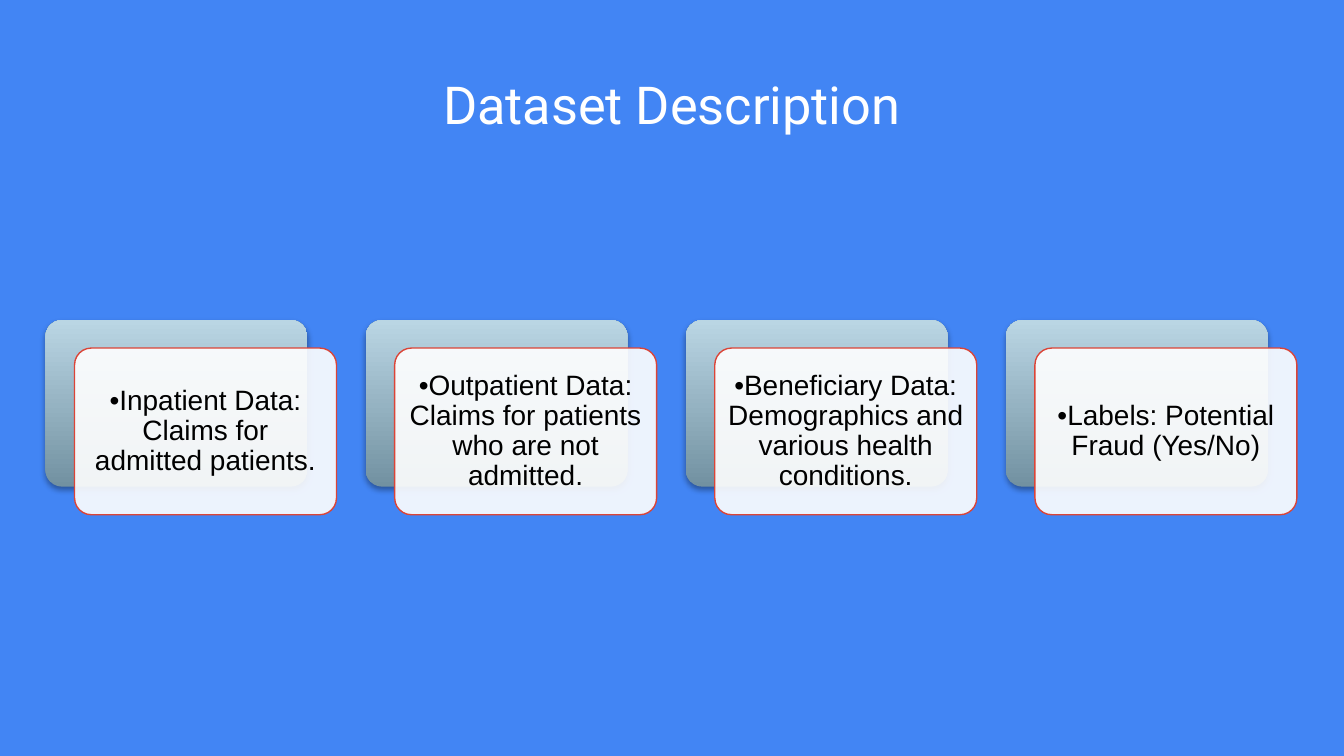
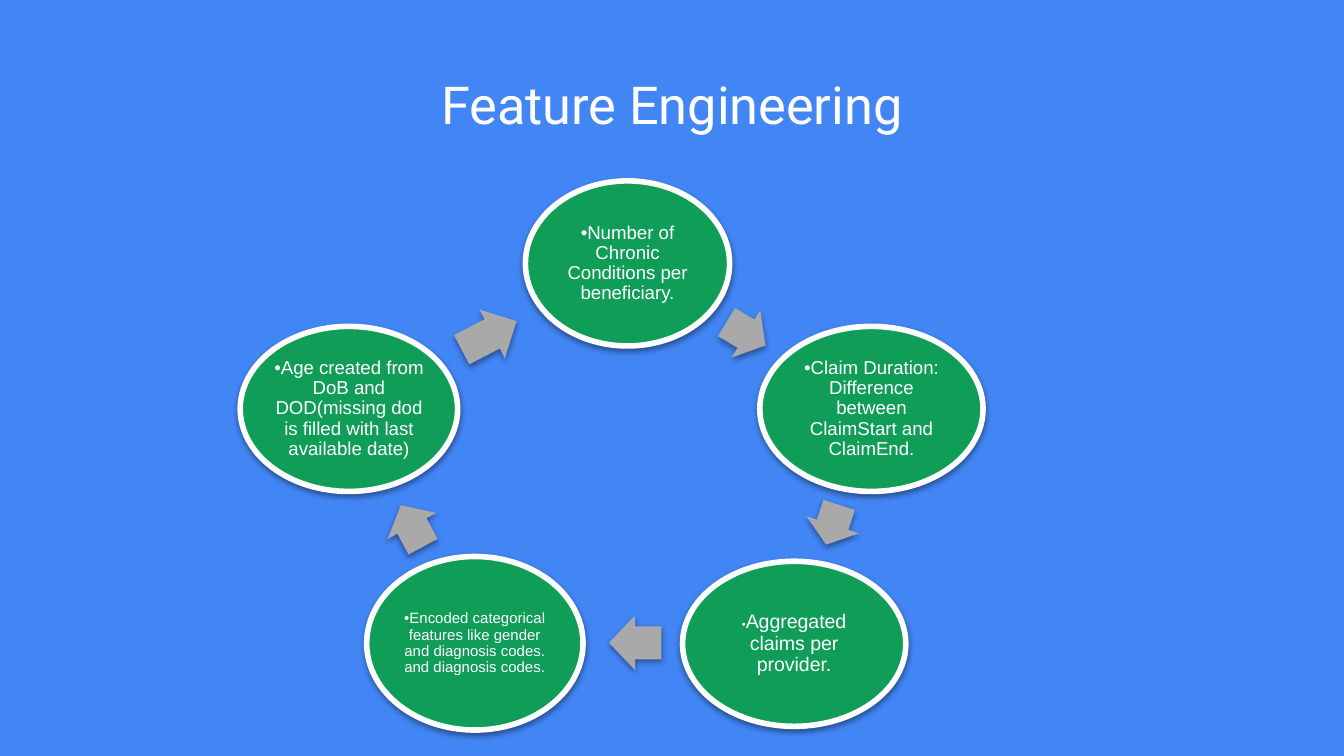
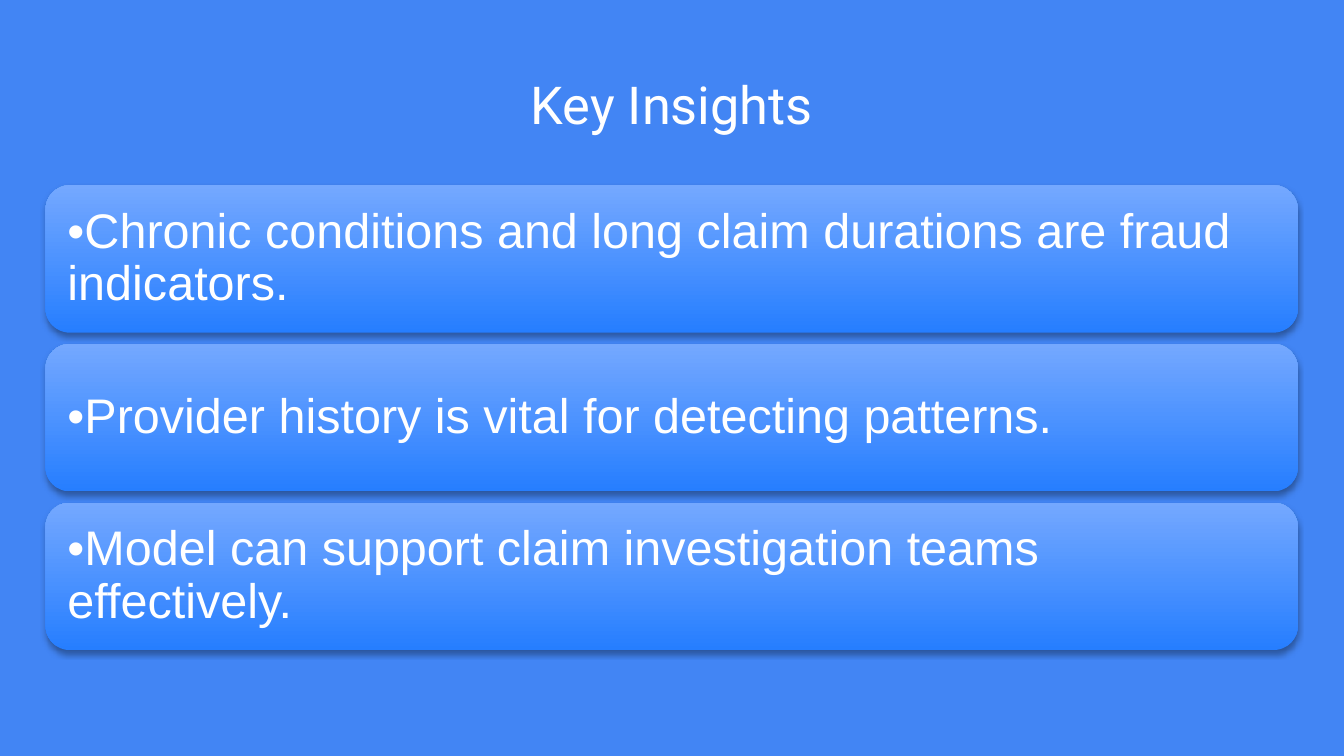
import lxml.etree
import pptx
import pptx.dml.color
import pptx.enum.shapes
import pptx.enum.text
import pptx.oxml.ns
import pptx.util

Cm = pptx.util.Cm
Pt = pptx.util.Pt
qn = pptx.oxml.ns.qn
PRESET = pptx.enum.shapes.MSO_SHAPE
ALIGN = pptx.enum.text.PP_ALIGN

BLUE = "4285F4"
WHITE = "FFFFFF"
BLACK = "000000"
RED = "DB4437"
GREEN = "0F9D58"
GREY = "A9A9A9"
SLATE = ("7291A1", "BAD6E4")
AZURE = ("267EFF", "74A8FF")


def colour(code):
    return pptx.dml.color.RGBColor.from_string(code)


def write(frame, text, size, ink, inset, align=ALIGN.CENTER, font="Arial", bullet_size=None):
    frame.text = text
    frame.word_wrap = True
    frame.auto_size = pptx.enum.text.MSO_AUTO_SIZE.NONE
    frame.vertical_anchor = pptx.enum.text.MSO_ANCHOR.MIDDLE
    frame.margin_left = frame.margin_right = Cm(inset)
    frame.margin_top = frame.margin_bottom = Cm(inset)
    paragraph = frame.paragraphs[0]
    paragraph.alignment = align
    paragraph.line_spacing = 0.9
    if bullet_size:
        paragraph.runs[0].text = text[0]
        paragraph.add_run().text = text[1:]
    for run in paragraph.runs:
        run.font.name = font
        run.font.size = Pt(size)
        run.font.color.rgb = colour(ink)
    if bullet_size:
        paragraph.runs[0].font.size = Pt(bullet_size)


deck = pptx.Presentation()
deck.slide_width = Cm(25.4)
deck.slide_height = Cm(14.29)
backdrop = deck.slide_master.background.fill
backdrop.solid()
backdrop.fore_color.rgb = colour(BLUE)

layout = deck.slide_layouts[5]
heading = layout.placeholders[0]
heading.left, heading.top = Cm(0.86), Cm(1.24)
heading.width, heading.height = Cm(23.67), Cm(1.6)

slides = []
for topic in ("Dataset Description", "Feature Engineering", "Key Insights"):
    slide = deck.slides.add_slide(layout)
    write(slide.shapes.title.text_frame, topic, 28, WHITE, 0.25, font="Roboto")
    slides.append(slide)
dataset, features, insights = slides

gradients = []
shadows = []

tables = (
    "•Inpatient Data: Claims for admitted patients.",
    "•Outpatient Data: Claims for patients who are not admitted.",
    "•Beneficiary Data: Demographics and various health conditions.",
    "•Labels: Potential Fraud (Yes/No)",
)
for column, table in enumerate(tables):
    left, top = 0.86 + 6.05 * column, 6.05
    backing = dataset.shapes.add_shape(
        PRESET.ROUNDED_RECTANGLE, Cm(left), Cm(top), Cm(4.95), Cm(3.15))
    backing.adjustments[0] = 0.1
    backing.line.fill.background()
    gradients.append((backing, SLATE))
    shadows.append((backing, 35, 1.8))

    card = dataset.shapes.add_shape(
        PRESET.ROUNDED_RECTANGLE, Cm(left + 0.55), Cm(top + 0.53), Cm(4.95), Cm(3.15))
    card.adjustments[0] = 0.1
    card.shadow.inherit = False
    card.fill.solid()
    card.fill.fore_color.rgb = colour(WHITE)
    tint = card.element.spPr.find(qn("a:solidFill"))[0]
    lxml.etree.SubElement(tint, qn("a:alpha"), val="90000")
    card.line.color.rgb = colour(RED)
    card.line.width = Pt(0.75)
    write(card.text_frame, table, 15, BLACK, 0.15)

steps = (
    (9.93, 3.42, 3.86, 3.12, 10, None, "•Number of Chronic Conditions per beneficiary."),
    (14.36, 6.17, 4.22, 3.12, 10, None,
     "•Claim Duration: Difference between ClaimStart and ClaimEnd."),
    (12.9, 10.61, 4.22, 3.12, 10.5, 6, "•Aggregated claims per provider."),
    (6.93, 10.52, 4.09, 3.28, 8, None,
     "•Encoded categorical features like gender and diagnosis codes. and diagnosis codes."),
    (4.54, 6.17, 4.11, 3.12, 10, None,
     "•Age created from DoB and DOD(missing dod is filled with last available date)"),
)
for left, top, width, height, size, bullet_size, feature in steps:
    step = features.shapes.add_shape(PRESET.OVAL, Cm(left), Cm(top), Cm(width), Cm(height))
    step.fill.solid()
    step.fill.fore_color.rgb = colour(GREEN)
    step.line.color.rgb = colour(WHITE)
    step.line.width = Pt(3)
    write(step.text_frame, feature, size, WHITE, 0.03, bullet_size=bullet_size)
    shadows.append((step, 38, 1.6))

turns = (
    (13.67, 5.79, 0.86, 31),
    (15.34, 9.4, 0.79, 108),
    (11.51, 11.63, 0.99, 180),
    (7.34, 9.42, 0.89, 241.8),
    (8.66, 5.82, 1.17, 332.5),
)
for left, top, width, angle in turns:
    turn = features.shapes.add_shape(PRESET.RIGHT_ARROW, Cm(left), Cm(top), Cm(width), Cm(1.04))
    turn.adjustments[0] = 0.6
    turn.adjustments[1] = 0.5
    turn.rotation = angle
    turn.fill.solid()
    turn.fill.fore_color.rgb = colour(GREY)
    turn.line.fill.background()
    shadows.append((turn, 38, 1.6))

findings = (
    "•Chronic conditions and long claim durations are fraud indicators.",
    "•Provider history is vital for detecting patterns.",
    "•Model can support claim investigation teams effectively.",
)
for row, finding in enumerate(findings):
    bar = insights.shapes.add_shape(
        PRESET.ROUNDED_RECTANGLE, Cm(0.86), Cm(3.5 + 3 * row), Cm(23.67), Cm(2.79))
    bar.line.fill.background()
    write(bar.text_frame, finding, 26, WHITE, 0.28, align=ALIGN.LEFT)
    gradients.append((bar, AZURE))
    shadows.append((bar, 35, 1.8))

for panel, shades in gradients:
    panel.fill.gradient()
    panel.fill.gradient_angle = 90
    for stop, shade in zip(panel.fill.gradient_stops, shades):
        stop.color.rgb = colour(shade)

for raised, opacity, distance in shadows:
    raised.shadow.inherit = False
    effects = raised.element.spPr.find(qn("a:effectLst"))
    outer = lxml.etree.SubElement(
        effects, qn("a:outerShdw"), blurRad=str(Pt(3.1)), dist=str(Pt(distance)),
        dir="5400000", rotWithShape="0")
    dark = lxml.etree.SubElement(outer, qn("a:srgbClr"), val=BLACK)
    lxml.etree.SubElement(dark, qn("a:alpha"), val=str(opacity * 1000))

deck.save("out.pptx")
